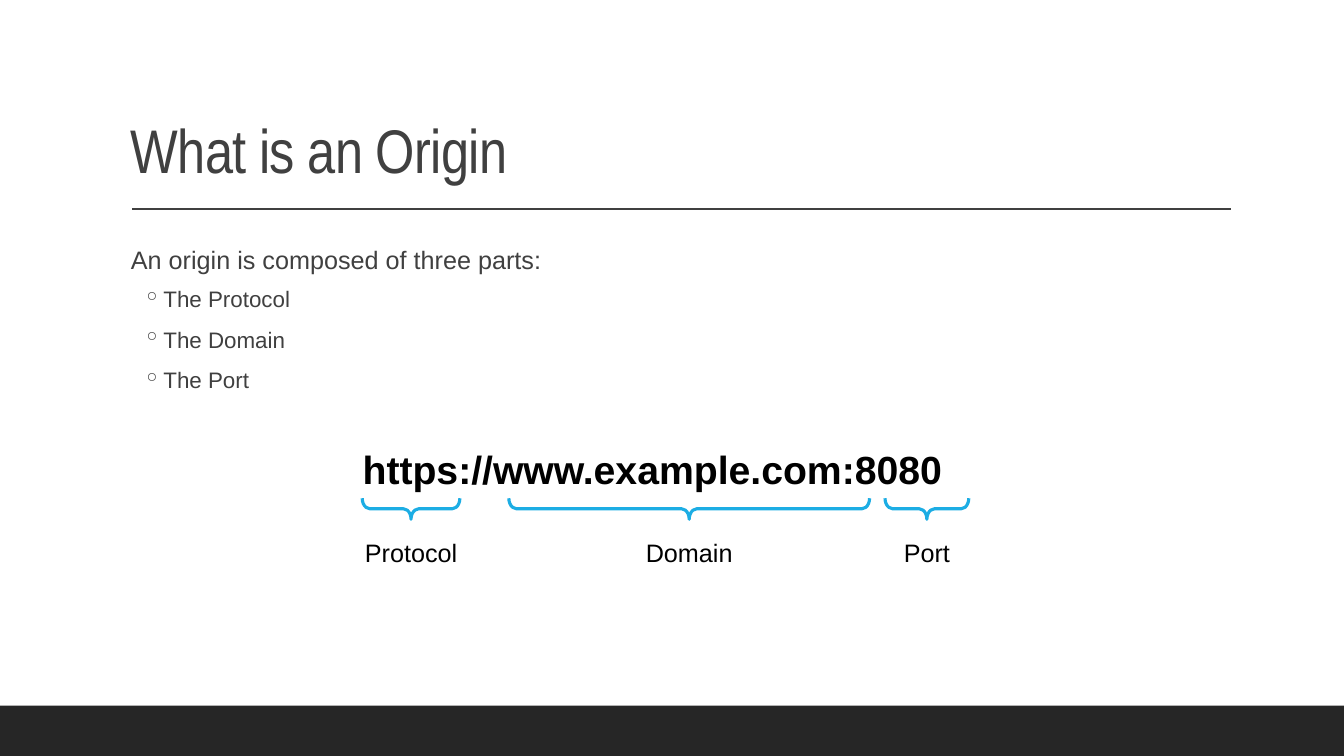
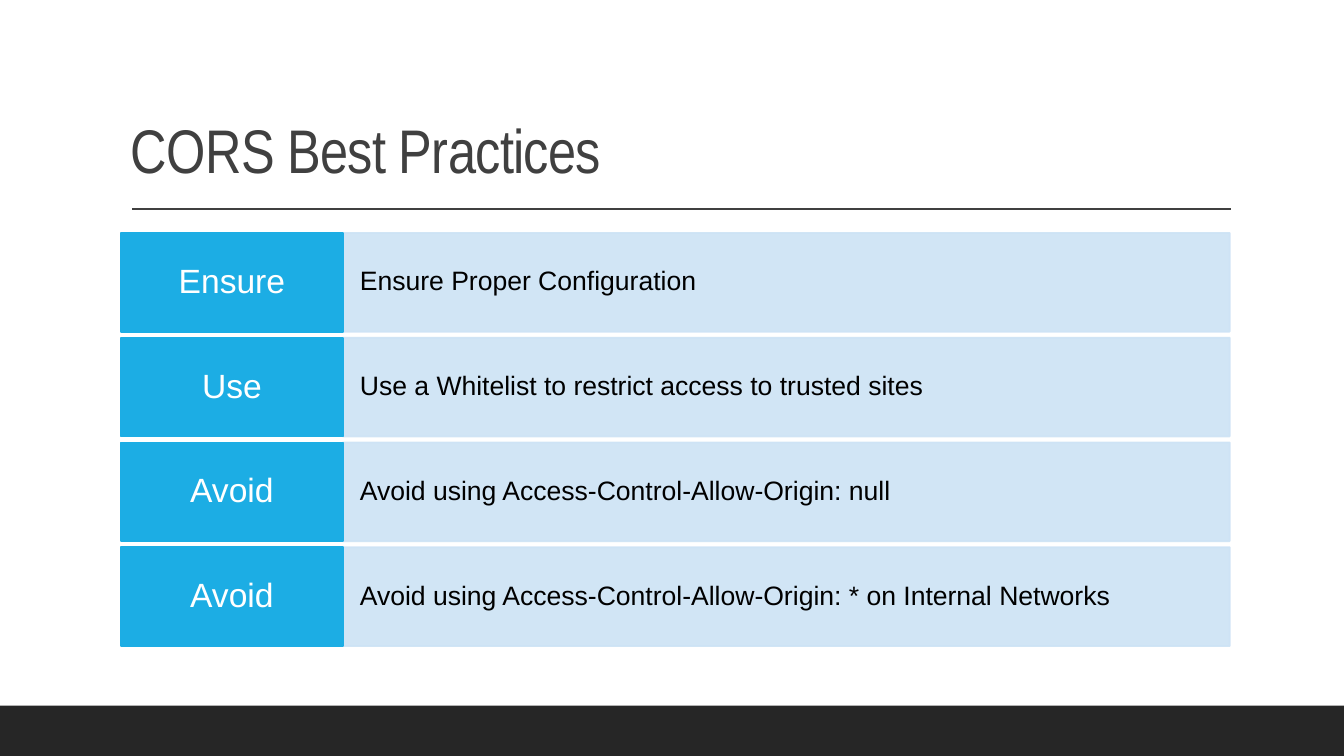
from lxml import etree
from pptx import Presentation
from pptx.dml.color import RGBColor
from pptx.enum.shapes import MSO_CONNECTOR, MSO_SHAPE
from pptx.enum.text import MSO_ANCHOR, MSO_AUTO_SIZE, PP_ALIGN
from pptx.oxml.ns import qn
from pptx.util import Cm, Pt

RECT, BRACE = MSO_SHAPE.RECTANGLE, MSO_SHAPE.LEFT_BRACE
STRAIGHT = MSO_CONNECTOR.STRAIGHT
LEFT, CENTER = PP_ALIGN.LEFT, PP_ALIGN.CENTER
TOP, MIDDLE, BOTTOM = MSO_ANCHOR.TOP, MSO_ANCHOR.MIDDLE, MSO_ANCHOR.BOTTOM
NO_FIT = MSO_AUTO_SIZE.NONE

ACCENT, PALE, GREY, BAND = "1CADE4", "CDE3F5", "404040", "262626"
BLACK, WHITE = "000000", "FFFFFF"

# Lengths are in centimetres.
SLIDE_W, SLIDE_H, BAND_H = 33.87, 19.05, 1.27
MARGIN, CONTENT_W, CONTENT_TOP = 3.05, 27.94, 5.87
TITLE_BOX = (MARGIN, 0.79, CONTENT_W, 4.04)
RULE_X, RULE_Y, RULE_END = 3.33, 5.27, 31.01
INSETS = (0.25, 0.13, 0.25, 0.13)

ORIGIN_TITLE = "What is an Origin"
ORIGIN_INTRO = "An origin is composed of three parts:"
ORIGIN_PARTS = ["The Protocol", "The Domain", "The Port"]
ORIGIN_URL = "https://www.example.com:8080"
URL_PARTS = [  # label, centre of the brace, span of the brace
    ("Protocol", 10.36, 2.46),
    ("Domain", 17.37, 9.09),
    ("Port", 23.36, 2.11),
]
BRACE_Y, BRACE_DEPTH = 12.82, 0.53
LABEL_Y, LABEL_W, LABEL_H = 13.41, 3.12, 1.02

PRACTICES_TITLE = "CORS Best Practices"
PRACTICES = [
    ("Ensure", "Ensure Proper Configuration"),
    ("Use", "Use a Whitelist to restrict access to trusted sites"),
    ("Avoid", "Avoid using Access-Control-Allow-Origin: null"),
    ("Avoid", "Avoid using Access-Control-Allow-Origin: * on Internal Networks"),
]
KEY_W, ROW_H, ROW_PITCH = 5.59, 2.49, 2.64


def rgb(value):
    return RGBColor.from_string(value)


def set_all(obj, **values):
    for name, value in values.items():
        setattr(obj, name, value)


def set_frame(tf, anchor=TOP, insets=INSETS):
    sides = ("margin_left", "margin_top", "margin_right", "margin_bottom")
    set_all(tf, word_wrap=True, auto_size=NO_FIT, vertical_anchor=anchor,
            **dict(zip(sides, map(Cm, insets))))


def write(p, text, size, color, font="Arial", bold=False, **spacing):
    r = p.add_run()
    r.text = text
    set_all(r.font, name=font, size=Pt(size), bold=bold)
    r.font.color.rgb = rgb(color)
    set_all(p, **{"alignment": LEFT, **spacing})
    return r


def add_text(slide, box, text, size, color, **style):
    tf = slide.shapes.add_textbox(*map(Cm, box)).text_frame
    set_frame(tf)
    write(tf.paragraphs[0], text, size, color, **style)


def add_bullet(p, char, left, hang):
    pPr = p._p.get_or_add_pPr()
    pPr.set("marL", str(Cm(left)))
    pPr.set("indent", str(-Cm(hang)))
    etree.SubElement(pPr, qn("a:buChar")).set("char", char)


def set_opacity(sp, percent):
    """Make the fill and the outline equally see-through."""
    for color in sp._element.spPr.iter(qn("a:srgbClr")):
        etree.SubElement(color, qn("a:alpha")).set("val", str(percent * 1000))


def add_rect(slide, box, color, line_width=None):
    sp = slide.shapes.add_shape(RECT, *map(Cm, box))
    sp.shadow.inherit = False
    sp.fill.solid()
    sp.fill.fore_color.rgb = rgb(color)
    if line_width:
        sp.line.color.rgb = rgb(color)
        sp.line.width = Pt(line_width)
    else:
        sp.line.fill.background()
    return sp


def add_cell(slide, box, color, text, size, text_color, insets, align):
    sp = add_rect(slide, box, color, 1.25)
    set_frame(sp.text_frame, MIDDLE, insets)
    write(sp.text_frame.paragraphs[0], text, size, text_color,
          alignment=align, line_spacing=0.9)
    return sp


def add_brace(slide, center, span):
    """Add a brace that opens upwards: a left brace turned by a quarter."""
    sp = slide.shapes.add_shape(
        BRACE, Cm(center - BRACE_DEPTH / 2), Cm(BRACE_Y - span / 2),
        Cm(BRACE_DEPTH), Cm(span))
    sp.rotation = 270
    sp.adjustments[0] = 0.36
    sp.shadow.inherit = False
    sp.fill.background()
    sp.line.color.rgb = rgb(ACCENT)
    sp.line.width = Pt(2.25)


def new_slide(prs, title):
    """Add a slide with the shared band, rule and title."""
    slide = prs.slides.add_slide(prs.slide_layouts[5])
    add_rect(slide, (0, SLIDE_H - BAND_H, SLIDE_W, BAND_H), BAND)
    rule = slide.shapes.add_connector(
        STRAIGHT, Cm(RULE_X), Cm(RULE_Y), Cm(RULE_END), Cm(RULE_Y))
    rule.line.color.rgb = rgb(GREY)
    rule.line.width = Pt(1)
    etree.SubElement(rule._element.spPr, qn("a:effectLst"))

    sp = slide.shapes.title
    set_all(sp, **dict(zip(("left", "top", "width", "height"), map(Cm, TITLE_BOX))))
    set_frame(sp.text_frame, BOTTOM)
    r = write(sp.text_frame.paragraphs[0], title, 44, GREY,
              font="Arial Narrow", line_spacing=0.9)
    r._r.get_or_add_rPr().set("spc", "-50")
    return slide


def build_origin(prs):
    slide = new_slide(prs, ORIGIN_TITLE)
    body = slide.shapes.add_textbox(
        Cm(MARGIN), Cm(CONTENT_TOP), Cm(CONTENT_W), Cm(4.5))
    tf = body.text_frame
    set_frame(tf)
    write(tf.paragraphs[0], ORIGIN_INTRO, 18, GREY,
          line_spacing=1.2, space_after=Pt(2))
    for part in ORIGIN_PARTS:
        p = tf.add_paragraph()
        write(p, part, 16, GREY, line_spacing=1.2,
              space_before=Pt(2), space_after=Pt(4))
        add_bullet(p, "◦", left=0.82, hang=0.51)

    add_text(slide, (8.89, 11.1, 16.1, 1.45), ORIGIN_URL, 28, BLACK, bold=True)
    for label, center, span in URL_PARTS:
        add_brace(slide, center, span)
        add_text(slide, (center - LABEL_W / 2, LABEL_Y, LABEL_W, LABEL_H),
                 label, 18, BLACK, alignment=CENTER)


def build_practices(prs):
    slide = new_slide(prs, PRACTICES_TITLE)
    for i, (key, advice) in enumerate(PRACTICES):
        y = CONTENT_TOP + i * ROW_PITCH
        sp = add_cell(slide, (MARGIN + KEY_W, y, CONTENT_W - KEY_W, ROW_H), PALE,
                      advice, 19, BLACK, (0.43, 0.64, 0.43, 0.64), LEFT)
        set_opacity(sp, 90)
        add_cell(slide, (MARGIN, y, KEY_W, ROW_H), ACCENT,
                 key, 24, WHITE, (0.3, 0.25, 0.3, 0.25), CENTER)


def main():
    prs = Presentation()
    prs.slide_width, prs.slide_height = Cm(SLIDE_W), Cm(SLIDE_H)
    build_origin(prs)
    build_practices(prs)
    prs.save("out.pptx")


if __name__ == "__main__":
    main()
